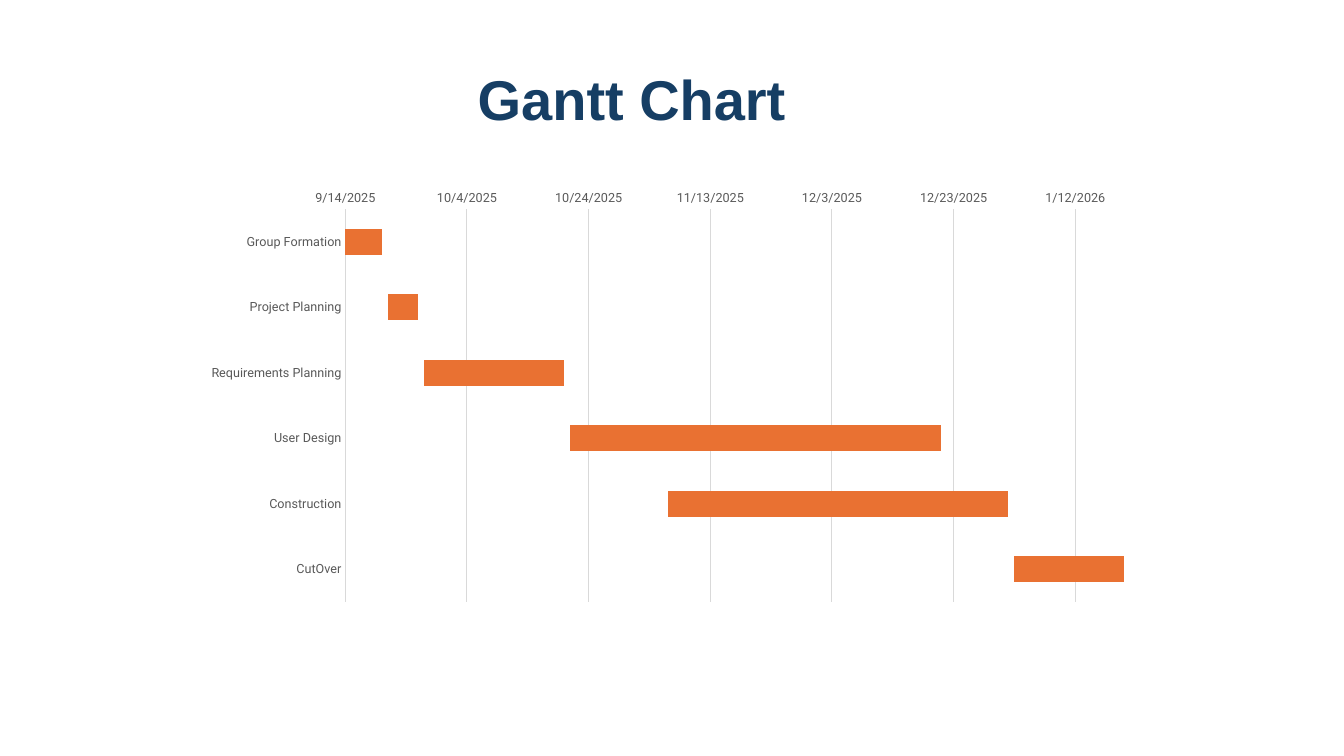
from lxml.etree import SubElement
from pptx import Presentation
from pptx.chart.data import CategoryChartData
from pptx.dml.color import RGBColor
from pptx.enum.chart import XL_CHART_TYPE, XL_TICK_MARK
from pptx.enum.text import MSO_AUTO_SIZE
from pptx.oxml.ns import qn
from pptx.util import Cm, Pt

NAVY = RGBColor(0x16, 0x3E, 0x64)
ORANGE = RGBColor(0xE9, 0x71, 0x32)
GREY = RGBColor(0x59, 0x59, 0x59)
GRID = RGBColor(0xD9, 0xD9, 0xD9)
BLACK = RGBColor(0, 0, 0)

# Dates are spreadsheet day numbers: task, first day, length in days
TASKS = [
    ("Group Formation", 45914, 6),
    ("Project Planning", 45921, 5),
    ("Requirements Planning", 45927, 23),
    ("User Design", 45951, 61),
    ("Construction", 45967, 56),
    ("CutOver", 46024, 18),
]
FIRST_DAY = TASKS[0][1]
LAST_DAY = TASKS[-1][1] + TASKS[-1][2]


def add_title(page, left, top, width, height):
    box = page.shapes.add_textbox(left, top, width, height)
    frame = box.text_frame
    frame.word_wrap = False
    frame.auto_size = MSO_AUTO_SIZE.SHAPE_TO_FIT_TEXT
    para = frame.paragraphs[0]
    span = para.add_run()
    span.text = "Gantt Chart"
    span.font.name = "Arial"
    span.font.size = Pt(40)
    span.font.bold = True
    span.font.color.rgb = NAVY


def style_font(font, size, color):
    font.name = "Roboto"
    font.size = Pt(size)
    font.color.rgb = color


def style_axis(axis):
    axis.major_tick_mark = XL_TICK_MARK.NONE
    axis.minor_tick_mark = XL_TICK_MARK.NONE
    axis.format.line.fill.background()
    style_font(axis.tick_labels.font, 9, GREY)


def place_plot(chart, x, y, w, h):
    """Fix the inner plot area, in fractions of the chart's box."""
    area = chart.element.find(".//" + qn("c:plotArea"))
    for old in area.findall(qn("c:layout")):
        area.remove(old)
    layout = SubElement(area, qn("c:layout"))
    area.insert(0, layout)
    manual = SubElement(layout, qn("c:manualLayout"))
    settings = [("layoutTarget", "inner"), ("xMode", "edge"), ("yMode", "edge"),
                ("x", x), ("y", y), ("w", w), ("h", h)]
    for name, value in settings:
        SubElement(manual, qn("c:" + name)).set("val", str(value))


def add_gantt(page, left, top, width, height):
    names, starts, lengths = zip(*TASKS)
    data = CategoryChartData()
    data.categories = names
    data.add_series("Series 1", starts)
    data.add_series("Series 2", lengths)
    chart = page.shapes.add_chart(
        XL_CHART_TYPE.BAR_STACKED, left, top, width, height, data).chart
    chart.has_legend = False
    chart.has_title = False
    style_font(chart.font, 10, BLACK)

    plot = chart.plots[0]
    plot.gap_width = 150
    plot.overlap = 100
    plot.vary_by_categories = False
    offsets, bars = plot.series
    offsets.format.fill.background()
    offsets.format.line.fill.background()
    bars.format.fill.solid()
    bars.format.fill.fore_color.rgb = ORANGE

    tasks, dates = chart.category_axis, chart.value_axis
    style_axis(tasks)
    style_axis(dates)
    tasks.reverse_order = True
    dates.minimum_scale = FIRST_DAY
    dates.maximum_scale = LAST_DAY
    dates.major_unit = 20
    dates.tick_labels.number_format = "m/d/yyyy"
    dates.tick_labels.number_format_is_linked = False
    dates.has_major_gridlines = True
    dates.major_gridlines.format.line.color.rgb = GRID
    dates.major_gridlines.format.line.width = Pt(0.75)
    place_plot(chart, 0.161, 0.062, 0.82, 0.917)


def main():
    deck = Presentation()
    deck.slide_width, deck.slide_height = Cm(33.87), Cm(19.05)
    page = deck.slides.add_slide(deck.slide_layouts[6])
    add_title(page, Cm(11.79), Cm(1.5), Cm(8.36), Cm(1.96))
    add_gantt(page, Cm(4.85), Cm(4.6), Cm(23.93), Cm(10.8))
    deck.save("out.pptx")


if __name__ == "__main__":
    main()
